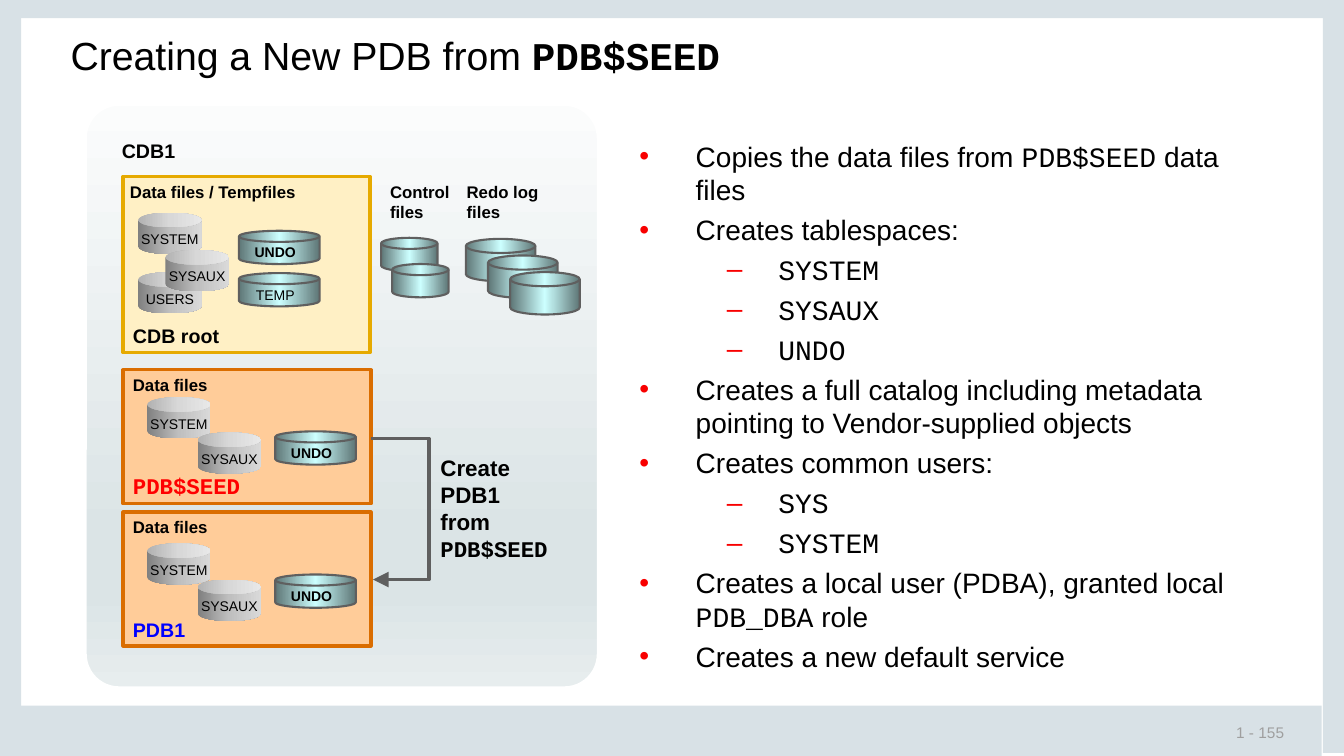
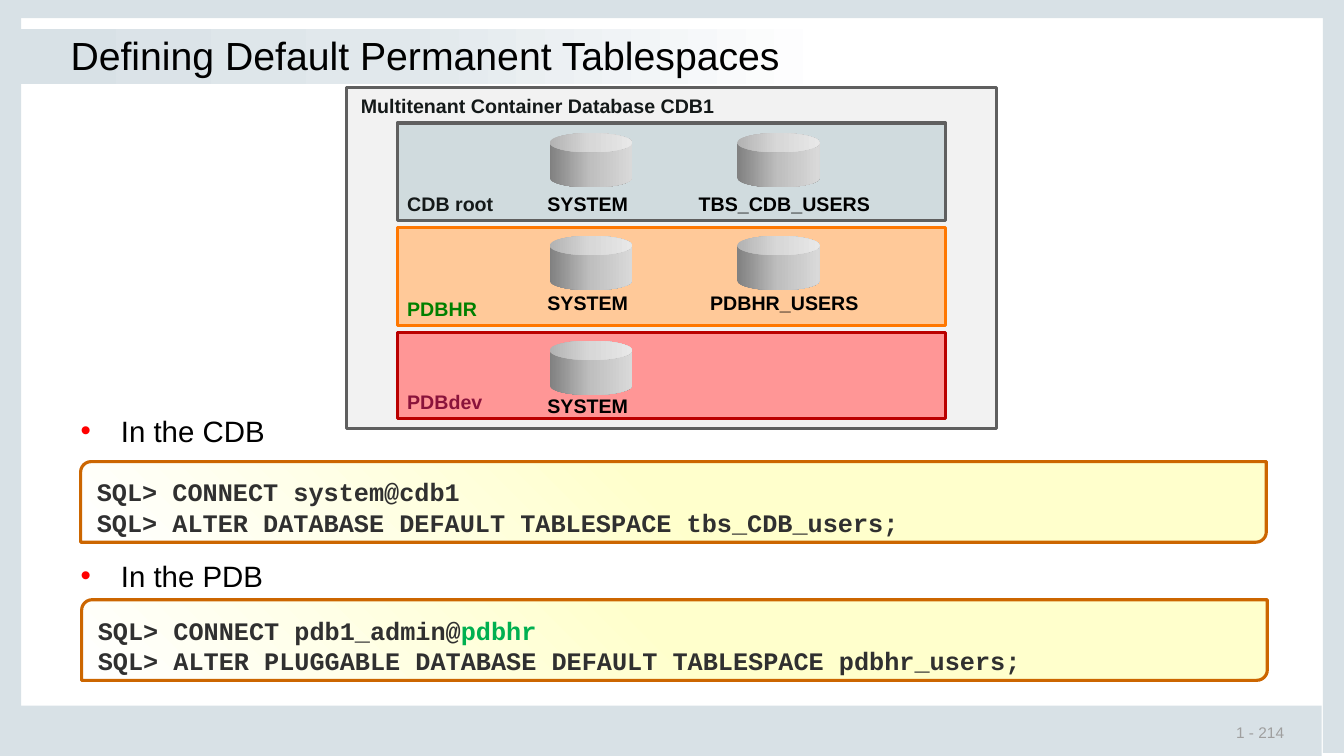
from lxml import etree
from pptx import Presentation
from pptx import util as u
from pptx.dml.color import RGBColor
from pptx.enum import shapes as kinds, text as t
from pptx.oxml.ns import qn

Inches, Pt = u.Inches, u.Pt
PRESET = kinds.MSO_SHAPE
LEFT, CENTER = t.PP_ALIGN.LEFT, t.PP_ALIGN.CENTER
TOP, MIDDLE, BOTTOM = t.MSO_ANCHOR.TOP, t.MSO_ANCHOR.MIDDLE, t.MSO_ANCHOR.BOTTOM

BLACK = RGBColor(0x00, 0x00, 0x00)
INK = RGBColor(0x14, 0x19, 0x19)
BAND = RGBColor(0xD8, 0xE1, 0xE6)
FOOTER_GREY = RGBColor(0x9F, 0x9F, 0x9F)
OUTLINE = RGBColor(0x5F, 0x5F, 0x5F)
WHITE = RGBColor(0xFF, 0xFF, 0xFF)
RED = RGBColor(0xFF, 0x00, 0x00)
BLUE = RGBColor(0x00, 0x00, 0xFF)
GREEN = RGBColor(0x00, 0x80, 0x00)
WINE = RGBColor(0x8A, 0x13, 0x3B)
ROOT_FILL = RGBColor(0xFF, 0xF0, 0xC5)
ROOT_LINE = RGBColor(0xE6, 0xAA, 0x00)
PDB_FILL = RGBColor(0xFF, 0xCC, 0x99)
PDB_LINE = RGBColor(0xDA, 0x6D, 0x00)
CDB_FILL = RGBColor(0xF2, 0xF2, 0xF2)
CDB_ROOT_FILL = RGBColor(0xD0, 0xDB, 0xDE)
HR_FILL = RGBColor(0xFF, 0xC9, 0x99)
HR_LINE = RGBColor(0xFF, 0x77, 0x00)
DEV_FILL = RGBColor(0xFF, 0x96, 0x96)
DEV_LINE = RGBColor(0xBA, 0x00, 0x00)
CODE_LINE = RGBColor(0xCC, 0x66, 0x00)
CODE_INK = RGBColor(0x30, 0x30, 0x30)
CODE_GREEN = RGBColor(0x00, 0xB0, 0x50)

# Gradients: clockwise angle, then (position in percent, colour)
GREY_METAL = (0, [(0, "808080"), (50, "BFBFBF"), (100, "D9D9D9")])
TEAL_METAL = (0, [(0, "5E7676"), (50, "CCFFFF"), (100, "5E7676")])
PANEL_FADE = (90, [(0, "FBFCFC"), (74, "DBE4E6"), (83, "DBE4E6"), (100, "E7EDEE")])
TITLE_FADE = (0, [(0, "D8E1E6"), (47, "E1E8EC"), (100, "FFFFFF")])
CODE_FADE = (135, [(0, "FFFFCC"), (50, "FFFFCC"), (100, "FFFFFF")])

MONO = {"name": "Courier New"}
TIGHT = (0.02, 0.02, 0.02, 0.02)


def add_block(slide, preset, box, fill, line=None, weight=2.25, adjust=None):
    """Add a preset shape with a solid or gradient fill."""
    block = slide.shapes.add_shape(preset, *map(Inches, box))
    block.shadow.inherit = False
    if isinstance(fill, RGBColor):
        block.fill.solid()
        block.fill.fore_color.rgb = fill
    else:
        angle, stops = fill
        block.fill.gradient()
        block.fill.gradient_angle = (360 - angle) % 360
        stop_list = block._element.spPr.find(qn("a:gradFill")).find(qn("a:gsLst"))
        for old_stop in list(stop_list):
            stop_list.remove(old_stop)
        for position, colour in stops:
            stop = etree.SubElement(stop_list, qn("a:gs"), pos=str(position * 1000))
            etree.SubElement(stop, qn("a:srgbClr"), val=colour)
    if line is None:
        block.line.fill.background()
    else:
        block.line.color.rgb = line
        block.line.width = Pt(weight)
    if adjust is not None:
        block.adjustments[0] = adjust
    return block


def write(shape, paragraphs, size, color=BLACK, bold=False, font="Arial", align=LEFT,
          anchor=TOP, insets=(0.1, 0.05, 0.1, 0.05), wrap=True, gap=0):
    """Fill a shape with paragraphs; each is a list of (text, font overrides) runs."""
    frame = shape.text_frame
    frame.word_wrap = wrap
    frame.auto_size = t.MSO_AUTO_SIZE.NONE
    frame.vertical_anchor = anchor
    (frame.margin_left, frame.margin_top,
     frame.margin_right, frame.margin_bottom) = map(Inches, insets)
    for index, runs in enumerate(paragraphs):
        paragraph = frame.add_paragraph() if index else frame.paragraphs[0]
        paragraph.alignment = align
        if index and gap:
            paragraph.space_before = Pt(gap)
        for words, changes in runs:
            run = paragraph.add_run()
            run.text = words
            run.font.size = Pt(size)
            run.font.name = changes.get("name", font)
            run.font.bold = changes.get("bold", bold)
            run.font.color.rgb = changes.get("color", color)
    return frame


prs = Presentation()
prs.slide_width, prs.slide_height = Inches(13.33), Inches(7.5)

# Shared frame: edge bands, page number, title
pages = [
    ("1 - 155", [("Creating a New PDB from ", {}),
                 ("PDB$SEED", {"name": "Courier New", "bold": True})], False),
    ("1 - 214", [("Defining Default Permanent Tablespaces", {})], True),
]
edge_bands = [(13.12, -0.03, 0.21, 7.5), (0, -0.03, 0.21, 7.49),
              (-0.22, 7, 13.33, 0.5), (0, -0.03, 13.33, 0.21)]
for page_number, title_runs, has_title_band in pages:
    slide = prs.slides.add_slide(prs.slide_layouts[5])
    for band in edge_bands:
        add_block(slide, PRESET.RECTANGLE, band, BAND)
    if has_title_band:
        add_block(slide, PRESET.RECTANGLE, (0.2, 0.29, 8.05, 0.54), TITLE_FADE)
    footer = slide.shapes.add_textbox(*map(Inches, (12.13, 7.17, 1.18, 0.2)))
    write(footer, [[(page_number, {})]], 11, FOOTER_GREY, anchor=MIDDLE,
          insets=(0.13, 0.07, 0.13, 0.07))
    title = slide.shapes.title
    title.left, title.top, title.width, title.height = map(Inches, (0.68, 0.29, 11.97, 0.6))
    write(title, [title_runs], 28, insets=TIGHT)
    title._element.getparent().append(title._element)  # bring in front of the bands
seed_slide, tablespace_slide = prs.slides

# Slide 1: container database panel
add_block(seed_slide, PRESET.ROUNDED_RECTANGLE, (0.84, 1.03, 5.1, 5.8), PANEL_FADE,
          WHITE, 3, 0.067)
containers = [
    ("CDB root", 14, {}, 1.75, 2.45, 1.75, ROOT_FILL, ROOT_LINE),
    ("PDB$SEED", 16, {"name": "Courier New", "color": RED}, 3.67, 2.46, 1.33, PDB_FILL, PDB_LINE),
    ("PDB1", 14, {"color": BLUE}, 5.08, 2.46, 1.33, PDB_FILL, PDB_LINE),
]
for name, size, style, top, width, height, fill, line in containers:
    container = add_block(seed_slide, PRESET.RECTANGLE, (1.22, top, width, height), fill, line)
    write(container, [[(name, style)]], size, bold=True, anchor=BOTTOM)

panel_labels = [
    (["CDB1"], 14, (1.11, 1.33, 2.72, 0.29)),
    (["Data files / Tempfiles"], 12, (1.19, 1.75, 2.48, 0.3)),
    (["Data files"], 12, (1.22, 3.67, 2.4, 0.3)),
    (["Data files"], 12, (1.22, 5.08, 2.4, 0.3)),
    (["Control", "files"], 12, (3.77, 1.75, 0.8, 0.51)),
    (["Redo log", "files"], 12, (4.53, 1.75, 1.4, 0.51)),
]
for lines, size, box in panel_labels:
    label = seed_slide.shapes.add_textbox(*map(Inches, box))
    write(label, [[(words, {})] for words in lines], size, bold=True)

# Data file cylinders
data_files = [("USERS", 1.37, 2.7), ("SYSTEM", 1.37, 2.11), ("SYSAUX", 1.64, 2.48),
              ("SYSTEM", 1.46, 3.94), ("SYSAUX", 1.96, 4.29),
              ("SYSTEM", 1.46, 5.39), ("SYSAUX", 1.96, 5.75)]
for name, left, top in data_files:
    cylinder = add_block(seed_slide, PRESET.CAN, (left, top, 0.63, 0.41), GREY_METAL, adjust=0.356)
    write(cylinder, [[(name, {})]], 10, align=CENTER, anchor=MIDDLE,
          insets=(0, 0.04, 0, 0), wrap=False)

# Undo, temp, control and redo log disks
disks = [(name, left, top, 0.8, 0.33) for name, left, top in
         [("UNDO", 2.37, 2.29), ("TEMP", 2.37, 2.71), ("UNDO", 2.73, 4.28), ("UNDO", 2.73, 5.7)]]
disks += [(None, 3.78 + 0.11 * i, 2.36 + 0.26 * i, 0.56, 0.33) for i in range(2)]
disks += [(None, 4.62 + 0.22 * i, 2.37 + 0.165 * i, 0.69, 0.42) for i in range(3)]
for name, *box in disks:
    disk = add_block(seed_slide, PRESET.FLOWCHART_MAGNETIC_DISK, box, TEAL_METAL, OUTLINE, 1.5)
    if name:
        write(disk, [[(name, {})]], 10, bold=name == "UNDO", align=CENTER, anchor=MIDDLE,
              insets=(0, 0.04, 0.08, 0), wrap=False)

# Arrow from the seed to the new PDB
arrow = seed_slide.shapes.add_connector(
    kinds.MSO_CONNECTOR.ELBOW, *map(Inches, (3.68, 4.35, 3.7, 5.75)))
arrow.line.color.rgb = OUTLINE
arrow.line.width = Pt(2.25)
arrow_props = arrow._element.spPr
etree.SubElement(arrow_props.find(qn("a:ln")), qn("a:tailEnd"),
                 type="triangle", w="lg", len="lg")
etree.SubElement(arrow_props, qn("a:effectLst"))
bend = arrow_props.find(qn("a:prstGeom")).get_or_add_avLst()
etree.SubElement(bend, qn("a:gd"), name="adj1", fmla="val 2866700")
arrow_label = seed_slide.shapes.add_textbox(*map(Inches, (4.27, 4.46, 1.67, 1.18)))
write(arrow_label, [[("Create", {})], [("PDB1", {})], [("from", {})], [("PDB$SEED", MONO)]],
      16, bold=True)

# Bulleted text of both slides: (level, runs)
seed_steps = [
    (0, [("Copies the data files from ", {}), ("PDB$SEED", MONO), (" data files", {})]),
    (0, [("Creates tablespaces:", {})]),
    (1, [("SYSTEM", MONO)]),
    (1, [("SYSAUX", MONO)]),
    (1, [("UNDO", MONO)]),
    (0, [("Creates a full catalog including metadata pointing to Vendor-supplied objects", {})]),
    (0, [("Creates common users:", {})]),
    (1, [("SYS", MONO)]),
    (1, [("SYSTEM", MONO)]),
    (0, [("Creates a local user (PDBA), granted local ", {}), ("PDB_DBA", MONO), (" role", {})]),
    (0, [("Creates a new default service", {})]),
]
connect_targets = [(0, [("In the CDB", {})]), (0, [("In the PDB", {})])]
bullet_lists = [
    (seed_slide, seed_steps, (6.19, 1.36, 6.46, 5.5), 20, 4.5, "F80000",
     [("•", 0.69, 0.56), ("–", 1.51, 0.51)]),
    (tablespace_slide, connect_targets, (0.68, 4.08, 2.7, 1.83), 21, 78, "FF0000",
     [("•", 0.5, 0.4)]),
]
for slide, items, box, size, gap, bullet_colour, levels in bullet_lists:
    body = slide.shapes.add_textbox(*map(Inches, box))
    frame = write(body, [runs for _, runs in items], size, insets=TIGHT, gap=gap)
    for paragraph, (level, _) in zip(frame.paragraphs, items):
        mark, margin, hanging = levels[level]
        props = paragraph._p.get_or_add_pPr()
        props.set("marL", str(Inches(margin)))
        props.set("indent", str(-Inches(hanging)))
        colour = etree.SubElement(props, qn("a:buClr"))
        etree.SubElement(colour, qn("a:srgbClr"), val=bullet_colour)
        etree.SubElement(props, qn("a:buFont"), typeface="Arial")
        etree.SubElement(props, qn("a:buChar"), char=mark)

# Slide 2: multitenant container database
add_block(tablespace_slide, PRESET.RECTANGLE, (3.44, 0.87, 6.44, 3.38), CDB_FILL, OUTLINE)
database_name = tablespace_slide.shapes.add_textbox(*map(Inches, (3.48, 0.88, 6.11, 0.31)))
write(database_name, [[("Multitenant Container Database CDB1", {})]], 14, INK, True)

SYSTEM_SLOT, USERS_SLOT = (5.45, 5.83), (7.31, 7.78)  # cylinder left, label centre
database_rows = [
    ("CDB root", INK, CDB_ROOT_FILL, OUTLINE, 1.22, 0.97, 1.32, 1.85, ["SYSTEM", "TBS_CDB_USERS"]),
    ("PDBHR", GREEN, HR_FILL, HR_LINE, 2.26, 0.97, 2.34, 2.84, ["SYSTEM", "PDBHR_USERS"]),
    ("PDBdev", WINE, DEV_FILL, DEV_LINE, 3.3, 0.85, 3.38, 3.86, ["SYSTEM"]),
]
for name, color, fill, line, top, height, can_top, label_top, tablespaces in database_rows:
    row = add_block(tablespace_slide, PRESET.RECTANGLE, (3.94, top, 5.44, height), fill, line)
    write(row, [[(name, {})]], 14, color, True, anchor=BOTTOM)
    for tablespace, (can_left, centre) in zip(tablespaces, (SYSTEM_SLOT, USERS_SLOT)):
        add_block(tablespace_slide, PRESET.CAN, (can_left, can_top, 0.82, 0.54), GREY_METAL,
                  adjust=0.356)
        label = tablespace_slide.shapes.add_textbox(
            *map(Inches, (centre - 1, label_top, 2, 0.34)))
        write(label, [[(tablespace, {})]], 14, bold=True, align=CENTER)

# SQL commands
commands = [
    (0.8, 4.58, [[("SQL> CONNECT system@cdb1", {})],
                 [("SQL> ALTER DATABASE DEFAULT TABLESPACE tbs_CDB_users;", {})]]),
    (0.81, 5.95, [[("SQL> CONNECT pdb1_admin@", {}), ("pdbhr", {"color": CODE_GREEN})],
                  [("SQL> ALTER PLUGGABLE DATABASE DEFAULT TABLESPACE pdbhr_users;", {})]]),
]
for left, top, code in commands:
    code_box = add_block(tablespace_slide, PRESET.ROUND_2_DIAG_RECTANGLE,
                         (left, top, 11.76, 0.8), CODE_FADE, CODE_LINE, adjust=0.13)
    write(code_box, code, 18, CODE_INK, True, "Courier New", insets=(0.13, 0.12, 0.02, 0))

prs.save("out.pptx")
